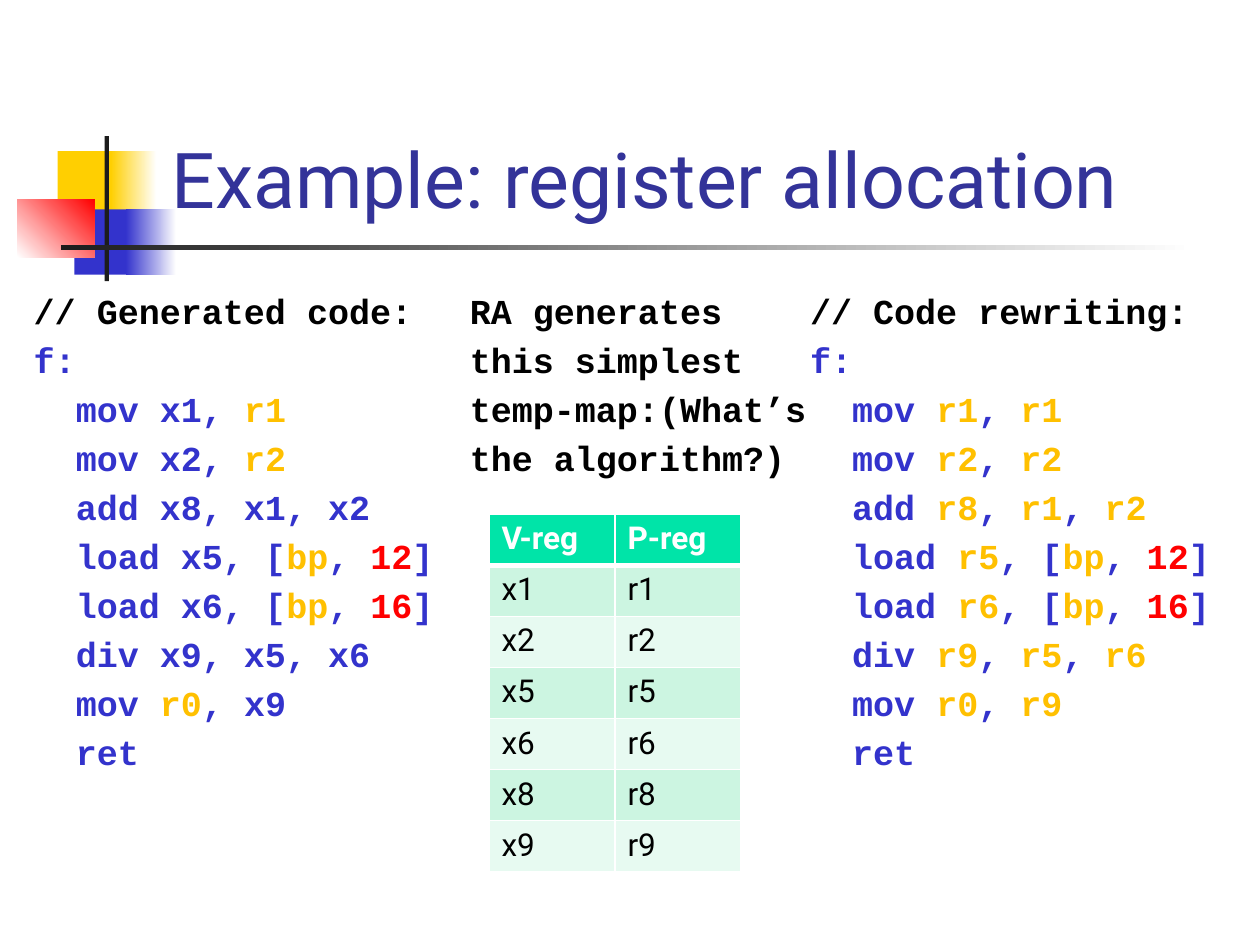
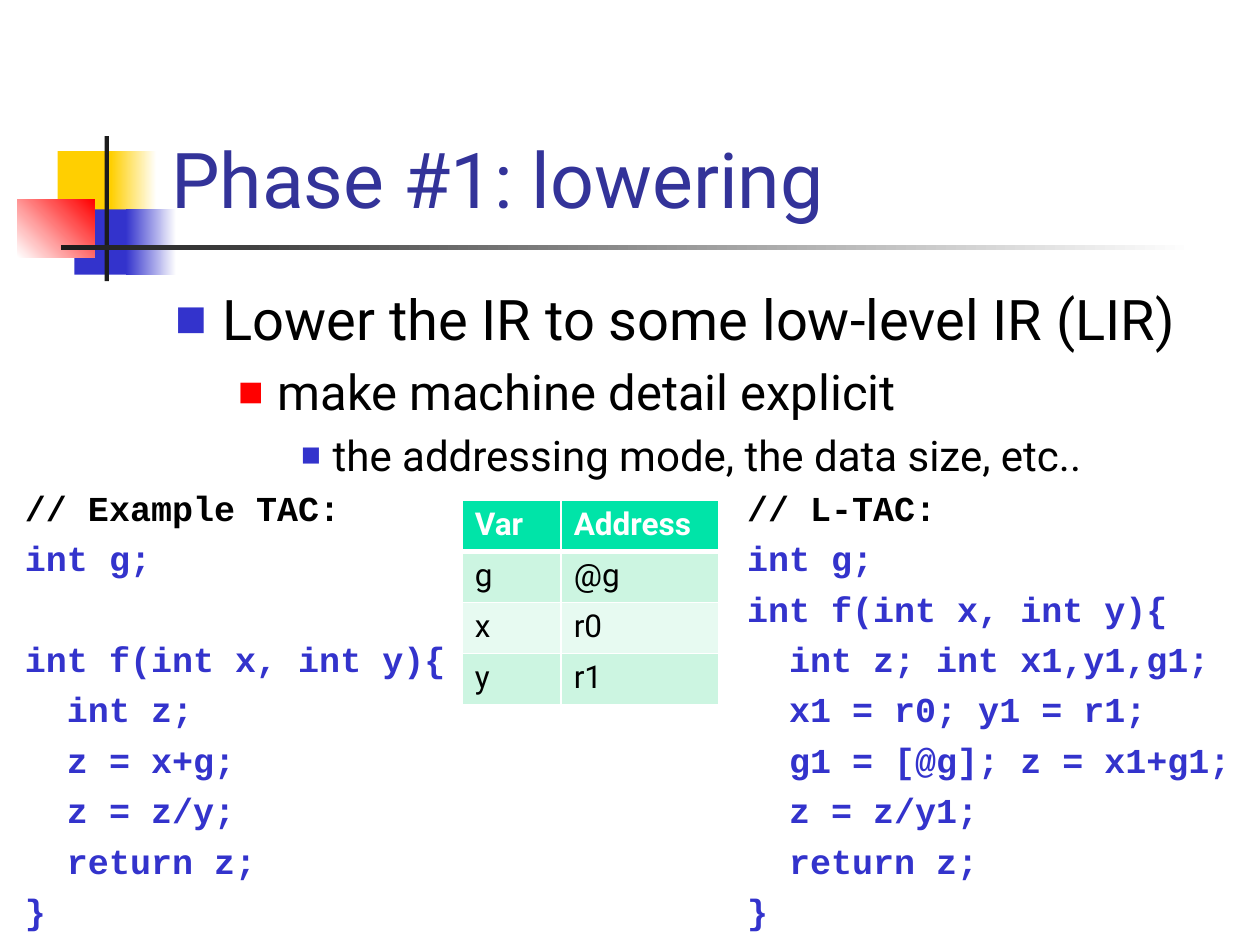
from dataclasses import dataclass
from itertools import groupby

from lxml import etree
from pptx import Presentation
from pptx.dml.color import RGBColor
from pptx.enum import shapes, text
from pptx.oxml import ns
from pptx.util import Pt

BLACK = RGBColor(0x00, 0x00, 0x00)
WHITE = RGBColor(0xFF, 0xFF, 0xFF)
CHARCOAL = RGBColor(0x1C, 0x1C, 0x1C)
TITLE_BLUE = RGBColor(0x33, 0x33, 0x99)
BLUE = RGBColor(0x33, 0x33, 0xCC)
YELLOW = RGBColor(0xFF, 0xCF, 0x01)
RED = RGBColor(0xFF, 0x00, 0x00)
REGISTER_GOLD = RGBColor(0xFF, 0xC0, 0x00)
HEADER_GREEN = RGBColor(0x00, 0xE4, 0xA8)
BAND_GREENS = (RGBColor(0xCC, 0xF5, 0xE1), RGBColor(0xE7, 0xFA, 0xF1))

TEXT_FONT = "Roboto"
CODE_FONT = "Courier New"
CODE_SIZE = 20
CODE_LINE_HEIGHT = 24
ROW_HEIGHT = 29.2
REGISTERS = {"bp"} | {f"r{number}" for number in range(10)}


@dataclass(frozen=True)
class Box:
    left: float
    top: float
    width: float
    height: float

    def lengths(self) -> tuple[Pt, Pt, Pt, Pt]:
        return Pt(self.left), Pt(self.top), Pt(self.width), Pt(self.height)


@dataclass(frozen=True)
class Ornament:
    """A master rectangle, plain or fading from start to end."""
    box: Box
    start: RGBColor
    end: RGBColor | None = None
    angle: float = 0


@dataclass(frozen=True)
class Code:
    box: Box
    lines: tuple[str, ...]
    gap: float
    color: RGBColor = BLUE
    highlighted: bool = False
    filled: bool = False


@dataclass(frozen=True)
class Bullet:
    text: str
    size: float
    color: RGBColor
    percent: int
    margin: float
    hanging: float


@dataclass(frozen=True)
class Grid:
    left: float
    top: float
    widths: tuple[float, ...]
    rows: tuple[tuple[str, ...], ...]


ORNAMENTS = (
    Ornament(Box(33, 86.4, 34.5, 37.4), YELLOW),
    Ornament(Box(63.4, 86.4, 26, 37.4), YELLOW, WHITE),
    Ornament(Box(42.5, 119.6, 33, 37.4), BLUE),
    Ornament(Box(72, 119.6, 28.8, 37.4), BLUE, WHITE),
    Ornament(Box(10, 113.8, 44, 33.1), WHITE, RED, 45),
    Ornament(Box(59.8, 77.8, 2.5, 82.8), CHARCOAL),
    Ornament(Box(34.6, 140.2, 648, 2.5), CHARCOAL, WHITE),
)

TITLE_BOX = Box(90.7, 16.6, 613.4, 115.2)
BODY_BOX = Box(92.9, 159.1, 612, 123.1)

ALLOCATION_CODE = (
    Code(Box(261.4, 162, 213.1, 113.8),
         ("RA generates", "this simplest", "temp-map:(What’s",
          "the algorithm?)"), 4, color=BLACK),
    Code(Box(12.2, 162, 257.8, 324),
         ("// Generated code:", "f:", "  mov x1, r1", "  mov x2, r2",
          "  add x8, x1, x2", "  load x5, [bp, 12]", "  load x6, [bp, 16]",
          "  div x9, x5, x6", "  mov r0, x9", "  ret"), 4, highlighted=True),
    Code(Box(455.8, 162, 257.8, 324),
         ("// Code rewriting:", "f:", "  mov r1, r1", "  mov r2, r2",
          "  add r8, r1, r2", "  load r5, [bp, 12]", "  load r6, [bp, 16]",
          "  div r9, r5, r6", "  mov r0, r9", "  ret"), 4, highlighted=True),
)
REGISTER_MAP = Grid(279.4, 293.8, (72, 72), (
    ("V-reg", "P-reg"), *((f"x{n}", f"r{n}") for n in (1, 2, 5, 6, 8, 9))))

LOWERING_BULLETS = (
    Bullet("Lower the IR to some low-level IR (LIR)", 32, BLUE, 60, 27, 27),
    Bullet("make machine detail explicit", 28, RED, 55, 58.5, 22.5),
    Bullet("the addressing mode, the data size, etc..", 24, BLUE, 50, 90, 18),
)
LOWERING_CODE = (
    Code(Box(7.2, 274.3, 257, 265.7),
         ("// Example TAC:", "int g;", "", "int f(int x, int y){", "  int z;",
          "  z = x+g;", "  z = z/y;", "  return z;", "}"), 4.8, filled=True),
    Code(Box(419.8, 274.3, 293, 265.7),
         ("// L-TAC:", "int g;", "int f(int x, int y){",
          "  int z; int x1,y1,g1;", "  x1 = r0; y1 = r1;",
          "  g1 = [@g]; z = x1+g1;", "  z = z/y1;", "  return z;", "}"),
         4.8, filled=True),
)
ADDRESS_MAP = Grid(264.2, 285.8, (56.5, 90), (
    ("Var", "Address"), ("g", "@g"), ("x", "r0"), ("y", "r1")))


def place(shape, box: Box) -> None:
    shape.left, shape.top, shape.width, shape.height = box.lengths()


def format_run(run, font: str, size: float, color: RGBColor,
               bold: bool = False) -> None:
    run.font.name = font
    run.font.size = Pt(size)
    run.font.color.rgb = color
    run.font.bold = bold


def build_master(presentation, slide) -> None:
    """Draw the ornaments on a slide and move them to the back of its master."""
    master = presentation.slide_master
    for index, ornament in enumerate(ORNAMENTS):
        shape = slide.shapes.add_shape(
            shapes.MSO_SHAPE.RECTANGLE, *ornament.box.lengths())
        shape.shadow.inherit = False
        shape.line.fill.background()
        if ornament.end is None:
            shape.fill.solid()
            shape.fill.fore_color.rgb = ornament.start
        else:
            shape.fill.gradient()
            shape.fill.gradient_angle = ornament.angle
            colors = (ornament.start, ornament.end)
            for stop, color in zip(shape.fill.gradient_stops, colors):
                stop.color.rgb = color
        master.shapes.element.insert(2 + index, shape.element)
    place(master.placeholders[0], TITLE_BOX)


def set_title(slide, title: str) -> None:
    frame = slide.shapes.title.text_frame
    frame.text = title
    frame.auto_size = text.MSO_AUTO_SIZE.NONE
    frame.vertical_anchor = text.MSO_ANCHOR.BOTTOM
    paragraph = frame.paragraphs[0]
    paragraph.alignment = text.PP_ALIGN.LEFT
    format_run(paragraph.runs[0], TEXT_FONT, 44, TITLE_BLUE)


def fill_body(slide, bullets: tuple[Bullet, ...]) -> None:
    body = slide.placeholders[1]
    place(body, BODY_BOX)
    frame = body.text_frame
    frame.text = "\n".join(bullet.text for bullet in bullets)
    frame.auto_size = text.MSO_AUTO_SIZE.NONE
    for level, (paragraph, bullet) in enumerate(zip(frame.paragraphs, bullets)):
        paragraph.level = level
        properties = paragraph._p.get_or_add_pPr()
        properties.set("marL", str(Pt(bullet.margin)))
        properties.set("indent", str(-Pt(bullet.hanging)))
        color = etree.SubElement(properties, ns.qn("a:buClr"))
        etree.SubElement(color, ns.qn("a:srgbClr"), val=str(bullet.color))
        etree.SubElement(properties, ns.qn("a:buSzPct"),
                         val=str(bullet.percent * 1000))
        etree.SubElement(properties, ns.qn("a:buFont"), typeface=TEXT_FONT)
        etree.SubElement(properties, ns.qn("a:buChar"), char="■")
        paragraph.space_before = Pt(bullet.size * 0.2 if level else 0)
        format_run(paragraph.runs[0], TEXT_FONT, bullet.size, BLACK)


def word_color(word: str, code: Code) -> RGBColor:
    if code.highlighted and word in REGISTERS:
        return REGISTER_GOLD
    if code.highlighted and word.isdigit():
        return RED
    return code.color


def colored_pieces(line: str, code: Code) -> list[tuple[RGBColor, str]]:
    """Split a line into the longest pieces of one colour."""
    if line.startswith("//"):
        return [(BLACK, line)]
    words = ["".join(group) for _, group in groupby(line, str.isalnum)]
    return [(color, "".join(group)) for color, group
            in groupby(words, lambda word: word_color(word, code))]


def add_code(slide, code: Code) -> None:
    shape = slide.shapes.add_textbox(*code.box.lengths())
    if code.filled:
        shape.fill.solid()
        shape.fill.fore_color.rgb = WHITE
    frame = shape.text_frame
    frame.word_wrap = True
    paragraph, space = frame.paragraphs[0], 0
    for index, line in enumerate(code.lines):
        if not line:
            space += CODE_LINE_HEIGHT + code.gap
            continue
        if index:
            paragraph = frame.add_paragraph()
        paragraph.space_before = Pt(space)
        space = code.gap
        for color, piece in colored_pieces(line, code):
            run = paragraph.add_run()
            run.text = piece
            format_run(run, CODE_FONT, CODE_SIZE, color, bold=True)


def add_borders(cell, bottom: float) -> None:
    properties = cell._tc.get_or_add_tcPr()
    for side, width in (("L", 1), ("R", 1), ("T", 1), ("B", bottom)):
        line = etree.SubElement(properties, ns.qn(f"a:ln{side}"),
                                w=str(Pt(width)))
        fill = etree.SubElement(line, ns.qn("a:solidFill"))
        etree.SubElement(fill, ns.qn("a:srgbClr"), val=str(WHITE))


def add_grid(slide, grid: Grid) -> None:
    box = Box(grid.left, grid.top, sum(grid.widths),
              ROW_HEIGHT * len(grid.rows))
    table = slide.shapes.add_table(
        len(grid.rows), len(grid.widths), *box.lengths()).table
    for column, width in zip(table.columns, grid.widths):
        column.width = Pt(width)
    for row_index, row in enumerate(grid.rows):
        table.rows[row_index].height = Pt(ROW_HEIGHT)
        header = row_index == 0
        for column_index, value in enumerate(row):
            cell = table.cell(row_index, column_index)
            add_borders(cell, bottom=3 if header else 1)
            cell.fill.solid()
            cell.fill.fore_color.rgb = (
                HEADER_GREEN if header else BAND_GREENS[(row_index - 1) % 2])
            cell.text_frame.text = value
            format_run(cell.text_frame.paragraphs[0].runs[0], TEXT_FONT, 18,
                       WHITE if header else BLACK, bold=header)


def main() -> None:
    presentation = Presentation()
    presentation.slide_width, presentation.slide_height = Pt(720), Pt(540)
    content_layout = presentation.slide_layouts.get_by_name("Title and Content")
    title_layout = presentation.slide_layouts.get_by_name("Title Only")

    allocation = presentation.slides.add_slide(title_layout)
    build_master(presentation, allocation)
    set_title(allocation, "Example: register allocation")
    for code in ALLOCATION_CODE:
        add_code(allocation, code)
    add_grid(allocation, REGISTER_MAP)

    lowering = presentation.slides.add_slide(content_layout)
    set_title(lowering, "Phase #1: lowering")
    fill_body(lowering, LOWERING_BULLETS)
    for code in LOWERING_CODE:
        add_code(lowering, code)
    add_grid(lowering, ADDRESS_MAP)

    presentation.save("out.pptx")


if __name__ == "__main__":
    main()
